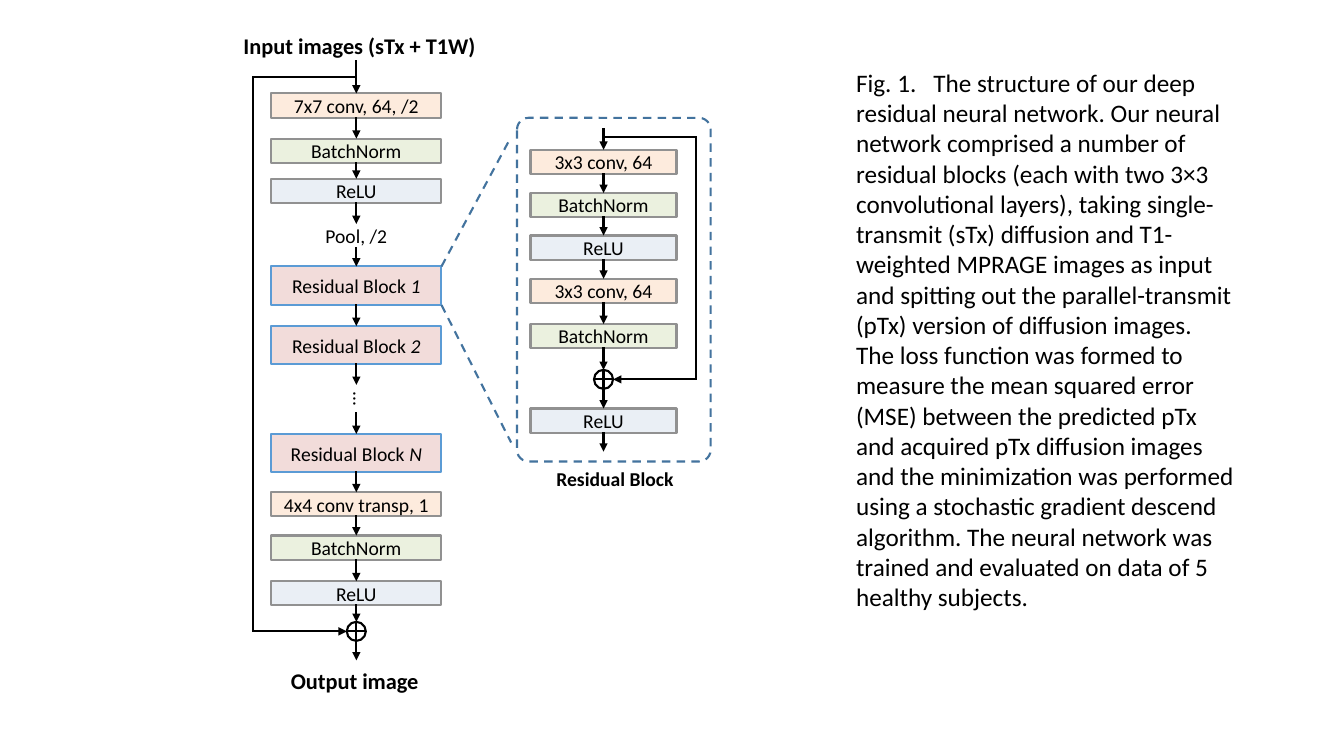
from dataclasses import dataclass
from itertools import pairwise

from lxml.etree import SubElement
from pptx import Presentation
from pptx.dml.color import RGBColor as Rgb
from pptx.enum.dml import MSO_LINE_DASH_STYLE as Dash
from pptx.enum.shapes import MSO_CONNECTOR as Connector, MSO_SHAPE as Shape
from pptx.enum.text import MSO_ANCHOR as Anchor, PP_ALIGN as Align
from pptx.oxml.ns import qn
from pptx.util import Cm, Pt

Point = tuple[float, float]


@dataclass(frozen=True)
class Theme:
    font: str = "Calibri"
    ink: str = "000000"
    conv: str = "FDEBDD"
    norm: str = "EBF1DF"
    relu: str = "EAEFF5"
    residual: str = "F2DCDA"
    layer_edge: str = "919191"
    residual_edge: str = "5B9BD5"
    zoom: str = "43739E"
    line_width: float = 1.5
    layer_size: int = 14
    heading_size: int = 16
    caption_size: int = 18


@dataclass(frozen=True)
class Step:
    """One stop in a column; y is its centre in cm."""
    y: float
    label: str = ""
    fill: str = ""
    index: str = ""
    height: float = 0.61

    @property
    def top(self) -> float:
        return self.y - self.height / 2

    @property
    def bottom(self) -> float:
        return self.y + self.height / 2


@dataclass(frozen=True)
class Column:
    x: float
    width: float
    start: float
    end: float
    steps: list[Step]


THEME = Theme()
SUM_SIZE = 0.48


def residual(y: float, index: str) -> Step:
    return Step(y, "Residual Block ", THEME.residual, index, 0.97)


def sum_node(y: float) -> Step:
    return Step(y, height=SUM_SIZE)


FIRST_BLOCK, SECOND_BLOCK, LAST_BLOCK = (
    residual(7.2, "1"), residual(8.7, "2"), residual(11.42, "N"))
NETWORK_SUM, BLOCK_SUM = sum_node(15.91), sum_node(9.56)

NETWORK = Column(8.98, 4.29, 1.55, 16.64, [
    Step(2.66, "7x7 conv, 64, /2", THEME.conv),
    Step(3.8, "BatchNorm", THEME.norm),
    Step(4.81, "ReLU", THEME.relu),
    Step(5.95, "Pool, /2"),
    FIRST_BLOCK,
    SECOND_BLOCK,
    LAST_BLOCK,
    Step(12.71, "4x4 conv transp, 1", THEME.conv),
    Step(13.8, "BatchNorm", THEME.norm),
    Step(14.95, "ReLU", THEME.relu),
    NETWORK_SUM,
])
BLOCK = Column(15.21, 3.68, 3.25, 11.38, [
    Step(4.08, "3x3 conv, 64", THEME.conv),
    Step(5.17, "BatchNorm", THEME.norm),
    Step(6.24, "ReLU", THEME.relu),
    Step(7.33, "3x3 conv, 64", THEME.conv),
    Step(8.47, "BatchNorm", THEME.norm),
    BLOCK_SUM,
    Step(10.6, "ReLU", THEME.relu),
])
CAPTION = (
    "Fig. 1. \u00a0\u00a0The structure of our deep residual neural network. Our neural "
    "network comprised a number of residual blocks (each with two 3×3 convolutional "
    "layers), taking single-transmit (sTx) diffusion and T1-weighted MPRAGE images as "
    "input and spitting out the parallel-transmit (pTx) version of diffusion images. "
    "The loss function was formed to measure the mean squared error (MSE) between the "
    "predicted pTx and acquired pTx diffusion images and the minimization was performed "
    "using a stochastic gradient descend algorithm. The neural network was trained and "
    "evaluated on data of 5 healthy subjects."
)

deck = Presentation()
deck.slide_width, deck.slide_height = Cm(33.87), Cm(19.05)
slide = deck.slides.add_slide(deck.slide_layouts[6])


def outline(line, color: str, dashed: bool = False) -> None:
    line.color.rgb = Rgb.from_string(color)
    line.width = Pt(THEME.line_width)
    if dashed:
        line.dash_style = Dash.DASH


def write(frame, text: str, size: int, bold: bool = False, index: str = "",
          align: Align = Align.CENTER, anchor: Anchor = Anchor.MIDDLE) -> None:
    frame.word_wrap = True
    frame.vertical_anchor = anchor
    frame.margin_left = frame.margin_right = frame.margin_top = frame.margin_bottom = 0
    paragraph = frame.paragraphs[0]
    paragraph.alignment = align
    font = paragraph.font
    font.name, font.size, font.bold = THEME.font, Pt(size), bold
    font.color.rgb = Rgb.from_string(THEME.ink)
    paragraph.add_run().text = text
    if index:
        variable = paragraph.add_run()
        variable.text = index
        variable.font.italic = True


def add_label(x: float, y: float, width: float, height: float):
    """Text box centred on x, y."""
    return slide.shapes.add_textbox(
        Cm(x - width / 2), Cm(y - height / 2), Cm(width), Cm(height))


def add_outlined(kind: Shape, x: float, y: float, width: float, height: float,
                 edge: str, fill: str = "", dashed: bool = False):
    """Preset shape centred on x, y."""
    shape = slide.shapes.add_shape(
        kind, Cm(x - width / 2), Cm(y - height / 2), Cm(width), Cm(height))
    shape.shadow.inherit = False
    if fill:
        shape.fill.solid()
        shape.fill.fore_color.rgb = Rgb.from_string(fill)
    else:
        shape.fill.background()
    outline(shape.line, edge, dashed)
    return shape


def add_line(start: Point, end: Point, arrow: bool = True, dashed: bool = False) -> None:
    line = slide.shapes.add_connector(
        Connector.STRAIGHT, *(Cm(value) for value in (*start, *end)))
    outline(line.line, THEME.zoom if dashed else THEME.ink, dashed)
    stroke = line.line._get_or_add_ln()
    if not dashed:
        stroke.set("cap", "sq")
    if arrow:
        SubElement(stroke, qn("a:tailEnd"), type="triangle")
    SubElement(line._element.spPr, qn("a:effectLst"))


def add_route(*points: Point) -> None:
    for start, end in pairwise(points):
        add_line(start, end, arrow=end == points[-1])


def add_step(column: Column, step: Step) -> None:
    if not step.label:
        add_outlined(Shape.FLOWCHART_OR, column.x, step.y, SUM_SIZE, SUM_SIZE, THEME.ink)
        return
    if step.fill:
        edge = THEME.residual_edge if step.index else THEME.layer_edge
        box = add_outlined(Shape.RECTANGLE, column.x, step.y, column.width, step.height,
                           edge, step.fill)
    else:
        box = add_label(column.x, step.y, column.width, step.height)
    write(box.text_frame, step.label, THEME.layer_size, index=step.index)


def add_column(column: Column) -> None:
    for step in column.steps:
        add_step(column, step)
    tails = [column.start, *(step.bottom for step in column.steps)]
    heads = [*(step.top for step in column.steps), column.end]
    for tail, head in zip(tails, heads):
        if tail == SECOND_BLOCK.bottom:  # broken by the ellipsis
            add_line((column.x, tail), (column.x, 9.7))
            tail = 10.41
        add_line((column.x, tail), (column.x, head))


# Network column with its skip connection
add_column(NETWORK)
add_route((NETWORK.x, 1.93), (6.38, 1.93), (6.38, NETWORK_SUM.y),
          (NETWORK.x - SUM_SIZE / 2, NETWORK_SUM.y))
ellipsis = add_label(9.1, 10.05, 0.5, 0.86)
ellipsis.rotation = 90
write(ellipsis.text_frame, "...", THEME.layer_size)

# Zoomed residual block
frame = add_outlined(Shape.ROUNDED_RECTANGLE, 15.47, 7.3, 4.88, 8.66, THEME.zoom, dashed=True)
frame.adjustments[0] = 0.06
add_column(BLOCK)
add_route((BLOCK.x, 3.45), (17.55, 3.45), (17.55, BLOCK_SUM.y),
          (BLOCK.x + SUM_SIZE / 2, BLOCK_SUM.y))
for block_edge, zoom_edge in ((FIRST_BLOCK.top, 3.45), (FIRST_BLOCK.bottom, 11.15)):
    add_line((NETWORK.x + NETWORK.width / 2, block_edge), (12.88, zoom_edge),
             arrow=False, dashed=True)

# Headings and caption
for text, x, y, size in (
    ("Input images (sTx + T1W)", 9.06, 1.16, THEME.heading_size),
    ("Output image", 8.94, 17.16, THEME.heading_size),
    ("Residual Block", 15.5, 12.05, THEME.layer_size),
):
    write(add_label(x, y, 6.6, 0.8).text_frame, text, size, bold=True)
write(add_label(26.35, 8.62, 9.55, 13.85).text_frame, CAPTION, THEME.caption_size,
      align=Align.LEFT, anchor=Anchor.TOP)

deck.save("out.pptx")
